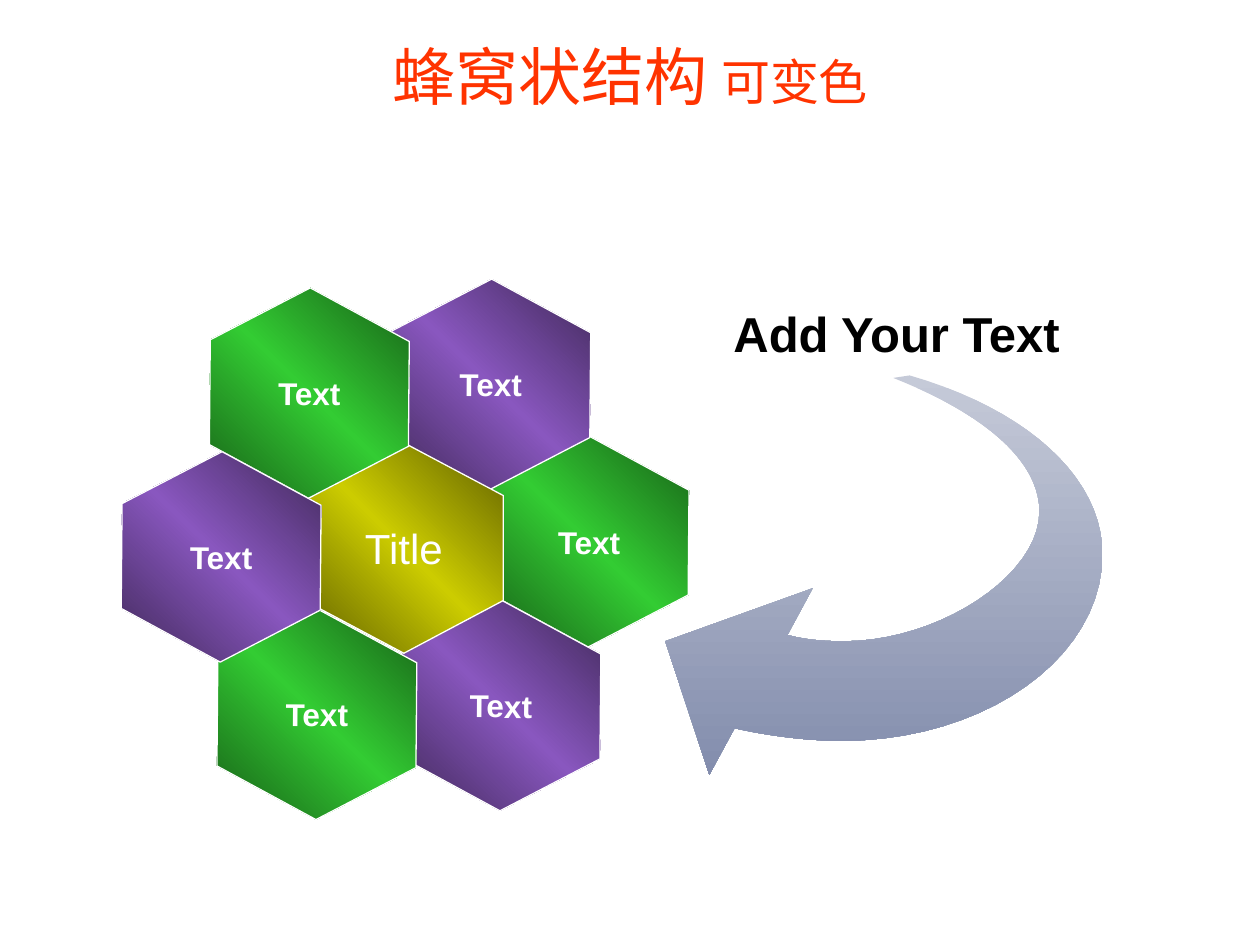
from pptx import Presentation
from pptx.dml.color import RGBColor
from pptx.enum.shapes import MSO_SHAPE
from pptx.enum.text import MSO_ANCHOR, MSO_AUTO_SIZE, PP_ALIGN
from pptx.oxml import parse_xml
from pptx.oxml.ns import nsdecls
from pptx.util import Inches, Pt

WHITE, BLACK, RED = "FFFFFF", "000000", "FF3300"


def add_run(p, text, size, color, bold=False):
    p.alignment = PP_ALIGN.CENTER
    r = p.add_run()
    r.text = text
    r.font.name = "Arial"
    r.font.size = Pt(size)
    r.font.bold = bold
    r.font.color.rgb = RGBColor.from_string(color)


def set_gradient(sp, colors, angle):
    """Spread the colours evenly; the angle stays fixed when the shape turns."""
    stops = "".join(
        f'<a:gs pos="{100000 * i // (len(colors) - 1)}"><a:srgbClr val="{c}"/></a:gs>'
        for i, c in enumerate(colors))
    sp.fill.background()
    no_fill = sp.element.spPr.find("{*}noFill")
    no_fill.getparent().replace(no_fill, parse_xml(
        f'<a:gradFill {nsdecls("a")} rotWithShape="0"><a:gsLst>{stops}</a:gsLst>'
        f'<a:lin ang="{angle * 60000}" scaled="0"/></a:gradFill>'))


prs = Presentation()
prs.slide_width, prs.slide_height = Inches(10), Inches(7.5)
s = prs.slides.add_slide(prs.slide_layouts[5])

# Title
title = s.shapes.title
title.left, title.top = Inches(0), Inches(0.25)
title.width, title.height = Inches(10), Inches(0.83)
title.fill.solid()
title.fill.fore_color.rgb = RGBColor.from_string(WHITE)
tf = title.text_frame
tf.auto_size = MSO_AUTO_SIZE.NONE
tf.vertical_anchor = MSO_ANCHOR.TOP
p = tf.paragraphs[0]
add_run(p, "蜂窝状结构 ", 36, RED)
add_run(p, "可变色", 28, RED)

# Curved arrow: each curve is two control points and an end point,
# and starts where the one before it ended
tail_tip = (7.22, 2.98)
outer_curves = [
    ((8.15, 3.25), (8.75, 3.79), (8.75, 4.4)),   # tail to rightmost point
    ((8.75, 5.22), (7.82, 5.88), (6.68, 5.88)),  # on to lowest point
    ((6.4, 5.88), (6.1, 5.84), (5.83, 5.78)),    # on to the head
]
head_corners = [(5.63, 6.15), (5.28, 5.09), (6.45, 4.67), (6.25, 5.04)]
inner_curves = [
    ((6.4, 5.08), (6.55, 5.09), (6.7, 5.09)),    # head to lowest point
    ((7.45, 5.09), (8.25, 4.57), (8.25, 4.06)),  # on to rightmost point
    ((8.25, 3.65), (7.8, 3.28), (7.09, 3)),      # back to the tail
]
steps = 20
edge = [tail_tip]
for curves, corners in ((outer_curves, head_corners), (inner_curves, [])):
    for c1, c2, end in curves:
        start = edge[-1]
        for i in range(1, steps + 1):
            t = i / steps
            weights = ((1 - t) ** 3, 3 * t * (1 - t) ** 2, 3 * t ** 2 * (1 - t), t ** 3)
            edge.append(tuple(
                sum(w * v for w, v in zip(weights, values))
                for values in zip(start, c1, c2, end)))
    edge += corners

points = [(Inches(x), Inches(y)) for x, y in edge]
outline = s.shapes.build_freeform(*points[0])
outline.add_line_segments(points[1:], close=True)
arrow = outline.convert_to_shape()
arrow.shadow.inherit = False
arrow.line.fill.background()
set_gradient(arrow, ["C5CAD8", "838DAD"], 90)

# Honeycomb styles: gradient colours, gradient angle, turn, label, size, bold
outer_label = (134, 90.5, "Text", 18, True)
green = (["175E17", "33CC33", "175E17"], *outer_label)
purple = (["3F2858", "8957BF", "3F2858"], *outer_label)
yellow = (["5E5E00", "CCCC00", "5E5E00"], 135, 90, "Title", 24, False)

# Honeycomb cells from back to front: left, top, style
cells = [
    (3.84, 3.51, green),   # right
    (3.06, 2.26, purple),  # upper right
    (3.14, 4.81, purple),  # lower right
    (2.37, 3.56, yellow),  # centre
    (1.62, 2.33, green),   # upper left
    (1.68, 4.88, green),   # lower left
    (0.92, 3.63, purple),  # left
]
for left, top, (colors, angle, turn, label, size, bold) in cells:
    sp = s.shapes.add_shape(MSO_SHAPE.HEXAGON, Inches(left), Inches(top),
                            Inches(1.67), Inches(1.58))
    sp.adjustments[0] = 0.265
    sp.rotation = turn
    sp.shadow.inherit = False
    set_gradient(sp, colors, angle)
    sp.line.color.rgb = RGBColor.from_string(WHITE)
    sp.line.width = Pt(0.75)
    tf = sp.text_frame
    tf.word_wrap = True
    tf.vertical_anchor = MSO_ANCHOR.MIDDLE
    tf.margin_left = tf.margin_right = Inches(0.05)
    tf.margin_top = tf.margin_bottom = Inches(0.1)
    # Turn the text back upright inside the rotated cell
    sp.element.txBody.bodyPr.set("vert", "vert270")
    add_run(tf.paragraphs[0], label, size, WHITE, bold)

# Caption above the arrow
caption = s.shapes.add_textbox(Inches(5.69), Inches(2.36), Inches(2.85), Inches(0.57))
tf = caption.text_frame
tf.word_wrap = False
tf.auto_size = MSO_AUTO_SIZE.SHAPE_TO_FIT_TEXT
add_run(tf.paragraphs[0], "Add Your Text", 28, BLACK, bold=True)

prs.save("out.pptx")
